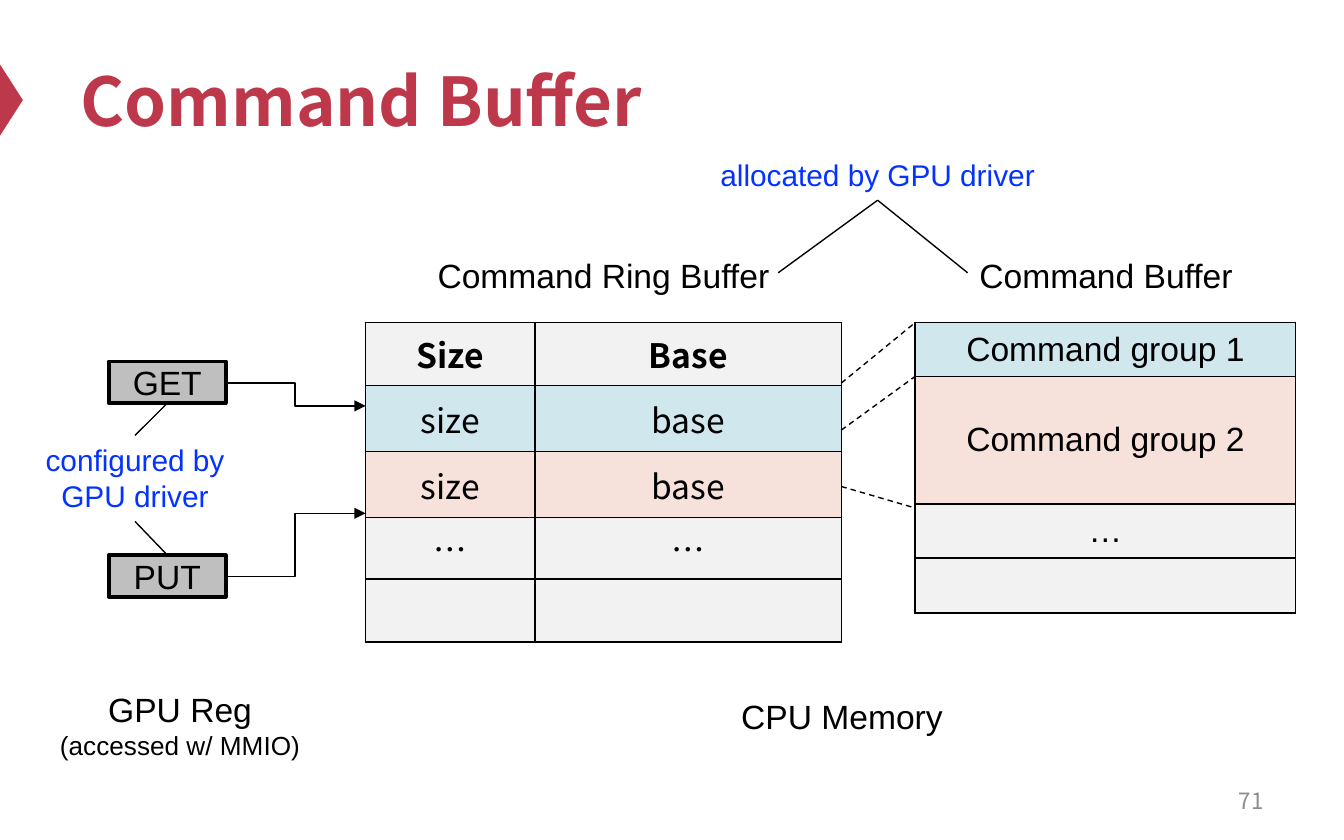
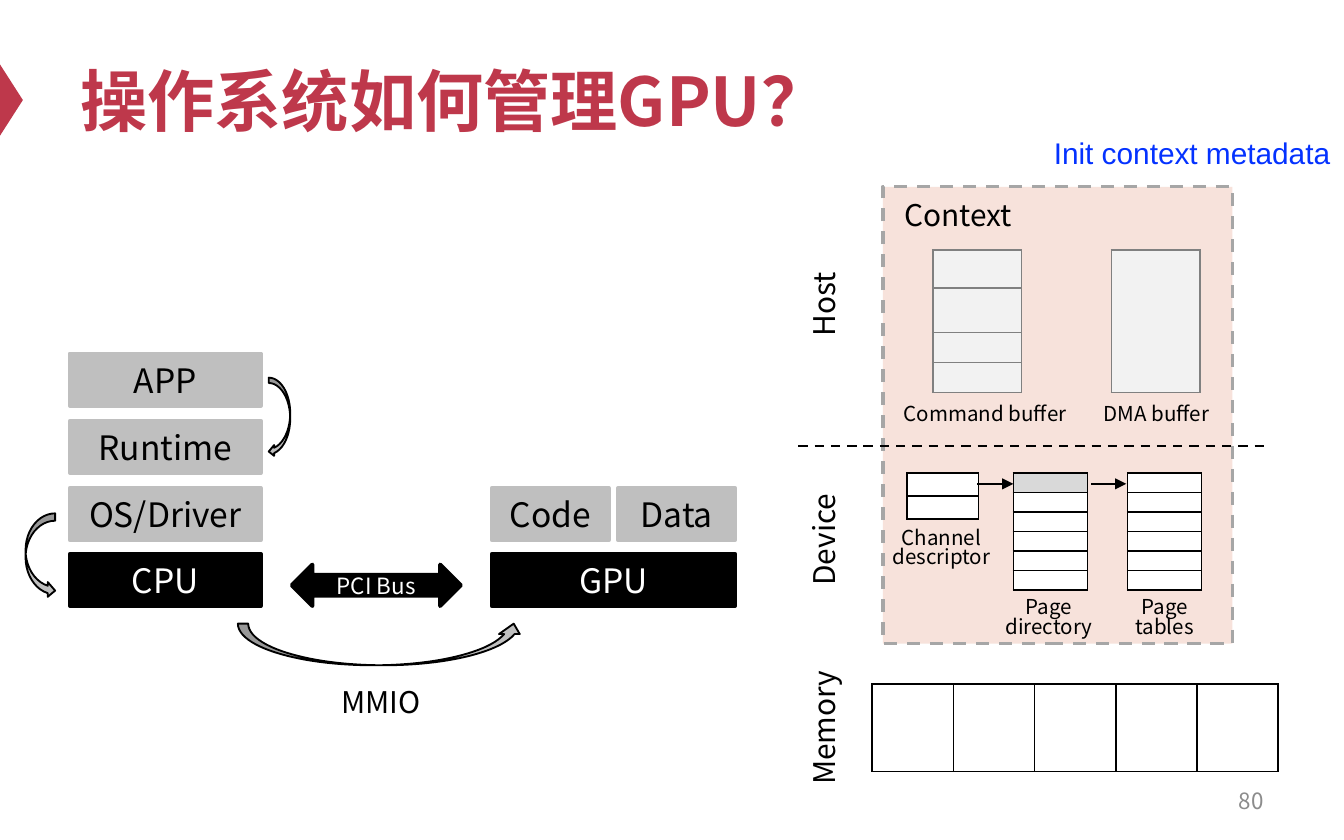
from dataclasses import dataclass

from lxml.etree import SubElement
from pptx import Presentation
from pptx.dml.color import RGBColor
from pptx.enum.dml import MSO_LINE
from pptx.enum.shapes import MSO_CONNECTOR as Link, MSO_SHAPE as Shape
from pptx.enum.text import MSO_ANCHOR as Anchor, PP_ALIGN as Align
from pptx.oxml.ns import qn
from pptx.util import Emu, Pt

EMU_PER_PX = 9144  # 100 px to the inch


@dataclass(frozen=True)
class Theme:
    accent: str = "BE384B"
    ink: str = "000000"
    paper: str = "FFFFFF"
    note: str = "0432FF"
    page: str = "8C8C8C"
    block: str = "BFBFBF"
    pale: str = "F2F2F2"
    shade: str = "D9D9D9"
    blue: str = "D0E7EE"
    pink: str = "F7E2DB"
    edge: str = "808080"
    dash: str = "A6A6A6"
    sans: str = "Arial"
    cjk: str = "Noto Sans CJK SC"
    title: int = 36
    body: int = 18
    label: int = 16
    detail: int = 14
    small: int = 12
    caption: int = 11


def px(*lengths):
    return [Emu(round(length * EMU_PER_PX)) for length in lengths]


def split(total, weights):
    """Share a px length out in proportion to the weights."""
    return px(*(total * weight / sum(weights) for weight in weights))


class Deck:
    def __init__(self, theme):
        self.theme = theme
        self.prs = Presentation()
        self.prs.slide_width, self.prs.slide_height = px(1000, 625)
        self.shapes = None

    def slide(self, title, number):
        t = self.theme
        self.shapes = self.prs.slides.add_slide(self.prs.slide_layouts[6]).shapes
        self.shape(Shape.ISOSCELES_TRIANGLE, -18, 66, 53, 17, t.accent, rot=90)
        self.text(title, 50, 25, 900, 98, t.title, t.cjk, t.accent, bold=True,
                  align=Align.LEFT, anchor=Anchor.MIDDLE)
        self.text(str(number), 717, 579, 233, 33, t.small, t.cjk, t.page,
                  align=Align.RIGHT, anchor=Anchor.MIDDLE)

    def style_run(self, run, size, font, color, bold=False):
        run.font.size, run.font.name, run.font.bold = Pt(size), font, bold
        run.font.color.rgb = RGBColor.from_string(color)
        SubElement(run._r.get_or_add_rPr(), qn("a:ea"), typeface=font)

    def set_text(self, frame, text, size, font, color, bold=False,
                 align=Align.CENTER, spacing=None):
        frame.text = text
        for paragraph in frame.paragraphs:
            paragraph.alignment = align
            paragraph.line_spacing = spacing
            for run in paragraph.runs:
                self.style_run(run, size, font, color, bold)

    def set_margins(self, holder, x, y):
        holder.margin_left = holder.margin_right = Emu(x * EMU_PER_PX)
        holder.margin_top = holder.margin_bottom = Emu(y * EMU_PER_PX)

    def text(self, text, x, y, w, h, size, font, color=None, bold=False,
             align=Align.CENTER, anchor=Anchor.TOP, margins=(10, 5), rot=0,
             spacing=None):
        box = self.shapes.add_textbox(*px(x, y, w, h))
        box.rotation = rot
        frame = box.text_frame
        frame.word_wrap, frame.vertical_anchor = True, anchor
        self.set_margins(frame, *margins)
        self.set_text(frame, text, size, font, color or self.theme.ink, bold, align, spacing)
        return box

    def tight(self, text, x, y, w, size, **options):
        """Text centred on a 27 px band without margins."""
        return self.text(text, x, y, w, 27, size, self.theme.cjk,
                         anchor=Anchor.MIDDLE, margins=(0, 0), **options)

    def shape(self, kind, x, y, w, h, fill, line=None, weight=1, rot=0, dash=False):
        shape = self.shapes.add_shape(kind, *px(x, y, w, h))
        shape.shadow.inherit = False
        shape.rotation = rot
        shape.fill.solid()
        shape.fill.fore_color.rgb = RGBColor.from_string(fill)
        if line:
            self.stroke(shape.line, line, weight, dash)
        else:
            shape.line.fill.background()
        return shape

    def block(self, text, x, y, w, h, fill, line, color, font, size=None,
              kind=Shape.RECTANGLE):
        """A labelled shape with a heavy outline."""
        block = self.shape(kind, x, y, w, h, fill, line, 2)
        frame = block.text_frame
        frame.vertical_anchor = Anchor.MIDDLE
        self.set_margins(frame, 0, 0)
        self.set_text(frame, text, size or self.theme.body, font, color)
        return block

    def stroke(self, line, color, weight, dash=False):
        line.color.rgb = RGBColor.from_string(color)
        line.width = Pt(weight)
        if dash:
            line.dash_style = MSO_LINE.DASH

    def line(self, start, end, weight=0.75, dash=False, arrow=False,
             kind=Link.STRAIGHT, begin=None, finish=None):
        """begin and finish are (shape, side) pairs to join."""
        line = self.shapes.add_connector(kind, *px(*start, *end))
        self.stroke(line.line, self.theme.ink, weight, dash)
        properties = line._element.spPr
        if arrow:
            SubElement(properties.find(qn("a:ln")), qn("a:tailEnd"), type="triangle")
        SubElement(properties, qn("a:effectLst"))
        if begin:
            line.begin_connect(*begin)
        if finish:
            line.end_connect(*finish)

    def cell_borders(self, cell, color):
        properties = cell._tc.get_or_add_tcPr()
        for side in ("lnL", "lnR", "lnT", "lnB"):
            border = SubElement(properties, qn(f"a:{side}"), w=str(Pt(1)))
            SubElement(SubElement(border, qn("a:solidFill")), qn("a:srgbClr"), val=color)

    def table(self, x, y, w, h, fills, rows=None, cols=(1,), texts=None,
              font=None, edge=None, header=False):
        """One fill per row; rows and cols are weights; "a_b" sets b as a subscript."""
        t = self.theme
        table = self.shapes.add_table(len(fills), len(cols), *px(x, y, w, h)).table
        table.first_row = table.horz_banding = False
        for column, width in zip(table.columns, split(w, cols)):
            column.width = width
        for row, height in zip(table.rows, split(h, rows or [1] * len(fills))):
            row.height = height
        for r, fill in enumerate(fills):
            for c in range(len(cols)):
                cell = table.cell(r, c)
                self.cell_borders(cell, edge or t.ink)
                cell.fill.solid()
                cell.fill.fore_color.rgb = RGBColor.from_string(fill)
                cell.vertical_anchor = Anchor.MIDDLE
                self.set_margins(cell, 0, 0)
                self.fill_cell(cell, texts[r][c] if texts else "", font,
                               header and r == 0)

    def fill_cell(self, cell, text, font, bold):
        t = self.theme
        paragraph = cell.text_frame.paragraphs[0]
        if not text:  # keeps short rows from growing
            SubElement(paragraph._p, qn("a:endParaRPr"), sz="100")
            return
        main, _, subscript = text.partition("_")
        self.set_text(cell.text_frame, main, t.body, font, t.ink, bold)
        if subscript:
            run = paragraph.add_run()
            run.text = subscript
            self.style_run(run, t.body, font, t.ink, bold)
            run._r.get_or_add_rPr().set("baseline", "-25000")


def command_buffer(deck):
    t = deck.theme
    deck.slide("Command Buffer", 71)

    get, put = (deck.block(name, 81, y, 87, 31, t.block, t.ink, t.ink, t.sans)
                for name, y in (("GET", 269), ("PUT", 413)))
    deck.table(272, 240, 354, 238, [t.pale, t.blue, t.pink, t.pale, t.pale],
               rows=(47, 49, 49, 46, 47), cols=(126, 228), font=t.cjk, header=True,
               texts=[("Size", "Base"), ("size_group1", "base_group1"),
                      ("size_group2", "base_group2"), ("…", "…"), ("", "")])
    deck.table(681, 240, 283, 216, [t.blue, t.pink, t.pale, t.pale],
               rows=(40, 95, 40, 41), font=t.sans,
               texts=[("Command group 1",), ("Command group 2",), ("…",), ("",)])
    for register_y, entry_y in ((285, 302), (429, 382)):
        deck.line((167, register_y), (272, entry_y), arrow=True, kind=Link.ELBOW)

    deck.text("Command Ring Buffer", 272, 185, 354, 40, t.body, t.sans)
    deck.text("Command Buffer", 701, 185, 244, 40, t.body, t.sans)
    for ring_y, buffer_y in ((285, 240), (320, 280), (362, 378)):
        deck.line((626, ring_y), (681, buffer_y), dash=True)

    registers = deck.text("GPU Reg\n(accessed w/ MMIO)", 12, 508, 244, 64, t.body, t.sans)
    registers.text_frame.paragraphs[1].runs[0].font.size = Pt(t.detail)
    deck.text("CPU Memory", 280, 513, 693, 40, t.body, t.sans)

    allocated = deck.text("allocated by GPU driver", 494, 112, 318, 37,
                          t.label, t.sans, t.note)
    for x in (579, 720):
        deck.line((x, 203), (654, 149), finish=(allocated, 2))
    configured = deck.text("configured by GPU driver", 14, 324, 173, 64,
                           t.label, t.sans, t.note)
    deck.line((124, 300), (101, 324), begin=(get, 2), finish=(configured, 0))
    deck.line((124, 413), (101, 388), begin=(put, 0), finish=(configured, 2))


def gpu_management(deck):
    t = deck.theme
    deck.slide("操作系统如何管理GPU？", 80)

    for name, x, w in (("CPU", 52, 142), ("GPU", 366, 181)):
        deck.block(name, x, 412, w, 39, t.ink, t.ink, t.paper, t.cjk)
    deck.block("PCI Bus", 217, 420, 126, 31, t.ink, t.ink, t.paper, t.cjk,
               t.small, Shape.LEFT_RIGHT_ARROW)
    software = [(name, 52, 363 - 50 * level, 142)
                for level, name in enumerate(("OS/Driver", "Runtime", "APP"))]
    for name, x, y, w in software + [("Code", 366, 363, 87), ("Data", 460, 363, 87)]:
        deck.block(name, x, y, w, 39, t.block, t.block, t.ink, t.cjk)
    deck.text("MMIO", 181, 509, 205, 27, t.label, t.cjk, margins=(0, 0))
    for kind, x, y, w, h, rot in ((Shape.CURVED_LEFT_ARROW, 200, 281, 16, 59, 0),
                                  (Shape.CURVED_RIGHT_ARROW, 19, 382, 22, 63, 0),
                                  (Shape.CURVED_RIGHT_ARROW, 268, 373, 31, 213, 270)):
        deck.shape(kind, x, y, w, h, t.block, t.ink, rot=rot)

    deck.shape(Shape.RECTANGLE, 657, 139, 260, 340, t.pink, t.dash, 1.75, dash=True)
    deck.tight("Context", 673, 146, 205, t.label, align=Align.LEFT)
    deck.table(694, 186, 66, 106, [t.pale] * 4, rows=(28, 33, 22, 22), edge=t.edge)
    deck.table(827, 186, 66, 106, [t.pale], edge=t.edge)
    deck.tight("Command buffer", 666, 294, 134, t.caption)
    deck.tight("DMA buffer", 805, 294, 111, t.caption)
    deck.line((594, 332), (941, 332), 1.25, dash=True)

    deck.table(675, 352, 53, 34, [t.paper] * 2)
    deck.table(754, 352, 55, 87, [t.shade] + [t.paper] * 5)
    deck.table(839, 352, 55, 87, [t.paper] * 6)
    deck.table(649, 509, 302, 65, [t.paper], cols=(1,) * 5)
    for name, y in (("Host", 213), ("Device", 388), ("Memory", 528)):
        deck.tight(name, 557, y, 111, t.label, rot=270)
    for name, x, y in (("Channel\ndescriptor", 656, 395),
                       ("Page\ndirectory", 736, 447), ("Page\ntables", 822, 447)):
        deck.tight(name, x, y, 89, t.caption, spacing=0.8)
    for start, end in ((727, 754), (812, 838)):
        deck.line((start, 360), (end, 360), arrow=True)
    deck.text("Init context metadata", 770, 95, 234, 37, t.label, t.sans, t.note)


def main():
    deck = Deck(Theme())
    command_buffer(deck)
    gpu_management(deck)
    deck.prs.save("out.pptx")


if __name__ == "__main__":
    main()
